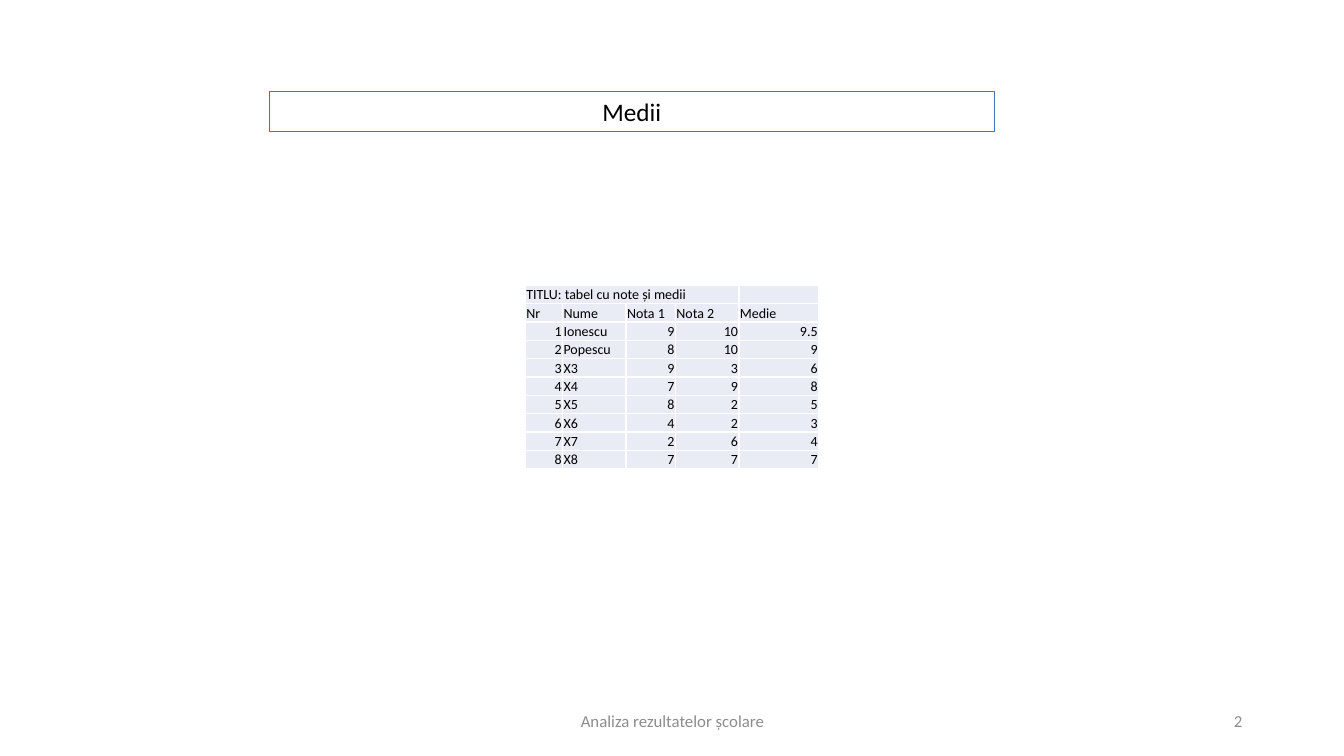
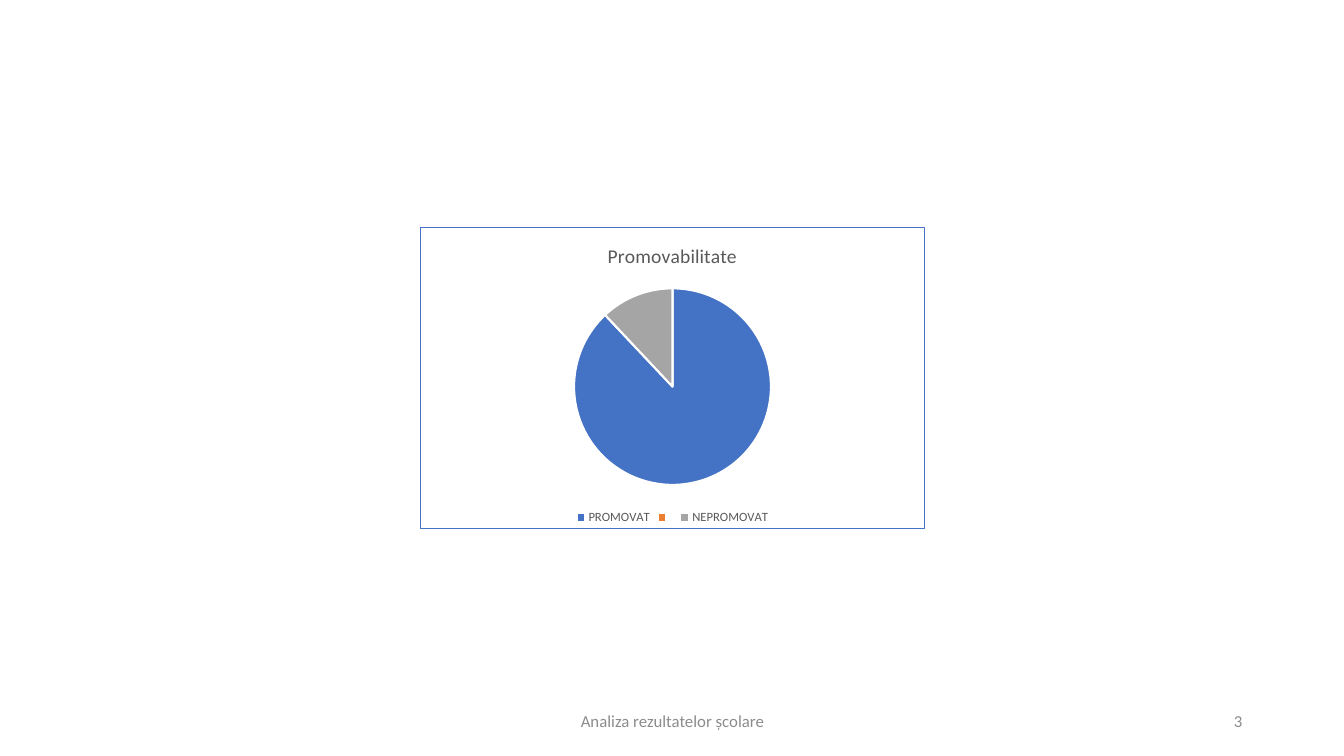
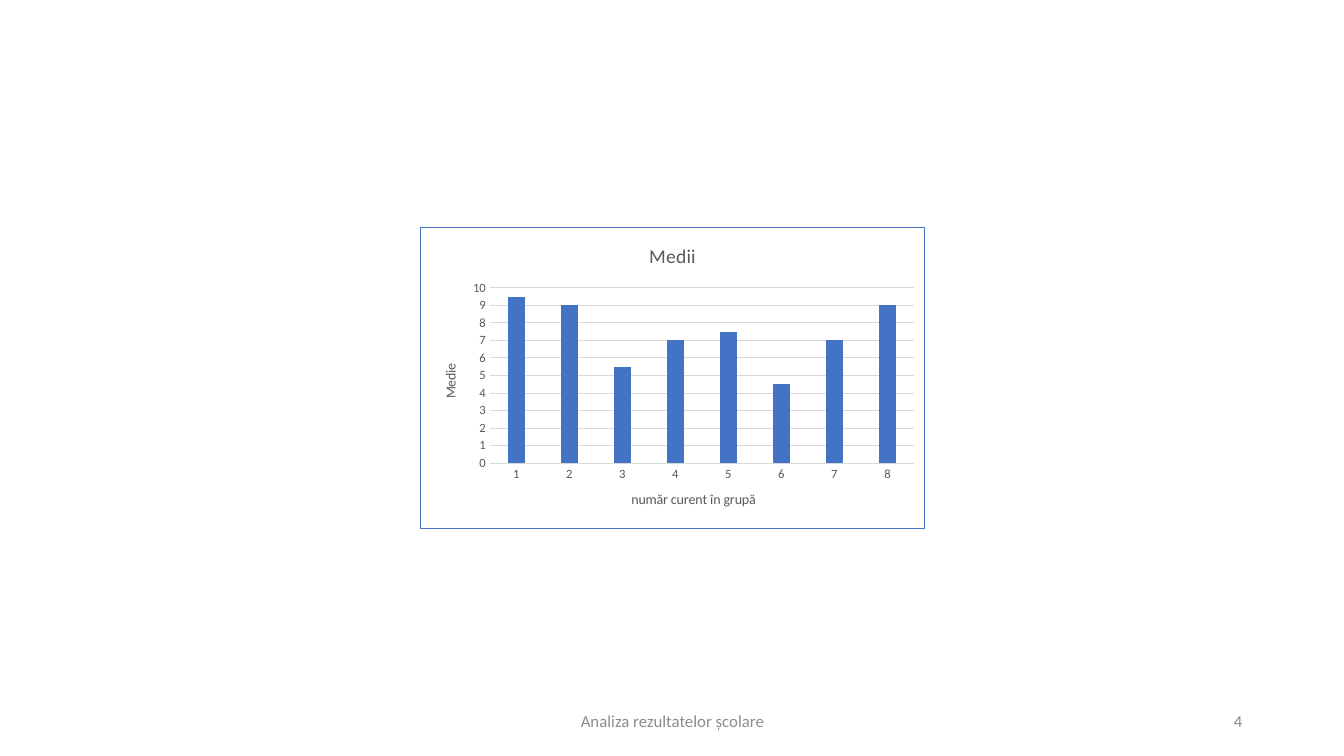
from dataclasses import dataclass

from lxml import etree
from pptx import Presentation
from pptx import util as u
from pptx.chart import data as cd
from pptx.dml.color import RGBColor
from pptx.enum import chart as ch, shapes, text
from pptx.oxml import parse_xml
from pptx.oxml import ns

# Shared style
FONT = "Calibri"
COLORS = {
    "ink": "000000",
    "paper": "FFFFFF",
    "accent": "4472C4",
    "second": "ED7D31",
    "third": "A5A5A5",
    "cell": "E9EBF5",
    "footer": "8C8C8C",
    "label": "595959",
    "grid": "D9D9D9",
}
FOOTER = "Analiza rezultatelor școlare"
FIRST_NUMBER = 2
LEFT, CENTER, RIGHT = text.PP_ALIGN.LEFT, text.PP_ALIGN.CENTER, text.PP_ALIGN.RIGHT


@dataclass(frozen=True)
class Box:
    left: float
    top: float
    width: float
    height: float

    def emu(self) -> tuple:
        return tuple(u.Inches(v) for v in (self.left, self.top, self.width, self.height))


TITLE_BOX = Box(2.67, 0.91, 7.19, 0.4)
TABLE_BOX = Box(5.21, 2.83, 2.92, 1.82)
CHART_BOX = Box(4.17, 2.25, 5, 3)
FOOTER_BOX = Box(4.42, 6.95, 4.5, 0.4)
NUMBER_BOX = Box(9.42, 6.95, 3, 0.4)

# Grade table
COL_WIDTHS = [0.37, 0.63, 0.49, 0.63, 0.79]
GRADES = [
    ("TITLU: tabel cu note și medii", "", "", "", ""),
    ("Nr", "Nume", "Nota 1", "Nota 2", "Medie"),
    (1, "Ionescu", 9, 10, 9.5),
    (2, "Popescu", 8, 10, 9),
    (3, "X3", 9, 3, 6),
    (4, "X4", 7, 9, 8),
    (5, "X5", 8, 2, 5),
    (6, "X6", 4, 2, 3),
    (7, "X7", 2, 6, 4),
    (8, "X8", 7, 7, 7),
]


def rgb(name: str) -> RGBColor:
    return RGBColor.from_string(COLORS[name])


def set_font(font, size: float, color: str) -> None:
    font.name, font.size, font.bold = FONT, u.Pt(size), False
    font.color.rgb = rgb(color)


def set_line(line, color: str, width: float) -> None:
    line.color.rgb = rgb(color)
    line.width = u.Pt(width)


def line_xml(tag: str, color: str, width: float) -> str:
    return (f'<{tag} {ns.nsdecls("a")} w="{int(u.Pt(width))}"><a:solidFill>'
            f'<a:srgbClr val="{COLORS[color]}"/></a:solidFill></{tag}>')


def add_text(slide, box: Box, content: str, size: float, color: str, align,
             anchor=text.MSO_ANCHOR.MIDDLE):
    sp = slide.shapes.add_textbox(*box.emu())
    tf = sp.text_frame
    tf.word_wrap = True
    tf.vertical_anchor = anchor
    p = tf.paragraphs[0]
    p.text, p.alignment = content, align
    set_font(p.font, size, color)
    return sp


def add_page(prs):
    """Blank slide with the common footer and number."""
    slide = prs.slides.add_slide(prs.slide_layouts[6])
    number = FIRST_NUMBER + len(prs.slides) - 1
    add_text(slide, FOOTER_BOX, FOOTER, 12, "footer", CENTER)
    add_text(slide, NUMBER_BOX, str(number), 12, "footer", RIGHT)
    return slide


def style_cell(cell, value) -> None:
    cell.margin_left = cell.margin_right = cell.margin_top = u.Inches(0.01)
    cell.margin_bottom = 0
    cell.vertical_anchor = text.MSO_ANCHOR.BOTTOM
    p = cell.text_frame.paragraphs[0]
    p.text = str(value)
    p.alignment = LEFT if isinstance(value, str) else RIGHT
    set_font(p.font, 10, "ink")
    if value == "":
        # An empty paragraph takes its height from its end mark
        etree.SubElement(p._p, ns.qn("a:endParaRPr"), sz="1000")
    borders = cell._tc.get_or_add_tcPr()
    for side in "LRTB":
        borders.append(parse_xml(line_xml(f"a:ln{side}", "paper", 1)))
    cell.fill.solid()
    cell.fill.fore_color.rgb = rgb("cell")


def add_grades(slide) -> None:
    table = slide.shapes.add_table(len(GRADES), len(COL_WIDTHS), *TABLE_BOX.emu()).table
    table.first_row = table.horz_banding = False
    for column, width in zip(table.columns, COL_WIDTHS):
        column.width = u.Inches(width)
    for r, row in enumerate(GRADES):
        table.rows[r].height = u.Inches(TABLE_BOX.height / len(GRADES))
        for c, value in enumerate(row):
            style_cell(table.cell(r, c), value)
    table.cell(0, 0).merge(table.cell(0, 3))


def set_title(owner, content: str, size: float) -> None:
    """Title of a chart or of an axis."""
    p = owner.text_frame.paragraphs[0]
    p.text = content
    set_font(p.font, size, "label")


def add_chart(slide, kind, title: str, cats: list, vals: list):
    data = cd.CategoryChartData()
    data.categories = cats
    data.add_series("Series 1", vals)
    chart = slide.shapes.add_chart(kind, *CHART_BOX.emu(), data).chart
    set_font(chart.font, 10, "ink")
    chart.has_title = True
    set_title(chart.chart_title, title, 14)
    chart.chart_title.include_in_layout = False
    chart.has_legend = False
    # Frame around the chart
    frame = parse_xml(
        f'<c:spPr {ns.nsdecls("c", "a")}><a:solidFill><a:srgbClr val="{COLORS["paper"]}"/>'
        f'</a:solidFill>{line_xml("a:ln", "accent", 0.75)}</c:spPr>')
    chart._chartSpace.find(ns.qn("c:chart")).addnext(frame)
    return chart


def style_axis(axis, title: str) -> None:
    axis.has_title = True
    set_title(axis.axis_title, title, 10)
    axis.major_tick_mark = axis.minor_tick_mark = ch.XL_TICK_MARK.NONE
    set_font(axis.tick_labels.font, 9, "label")


prs = Presentation()
prs.slide_width, prs.slide_height = u.Inches(13.33), u.Inches(7.5)

# Slide: table of grades
slide = add_page(prs)
heading = add_text(slide, TITLE_BOX, "Medii", 18, "ink", CENTER, text.MSO_ANCHOR.TOP)
set_line(heading.line, "accent", 0.75)
add_grades(slide)

# Slide: pass rate
slide = add_page(prs)
chart = add_chart(slide, ch.XL_CHART_TYPE.PIE, "Promovabilitate",
                  ["PROMOVAT", "", "NEPROMOVAT"], [88, None, 12])
chart.has_legend = True
chart.legend.position = ch.XL_LEGEND_POSITION.BOTTOM
chart.legend.include_in_layout = False
set_font(chart.legend.font, 9, "label")
plot = chart.plots[0]
plot.vary_by_categories = True
for i, color in enumerate(["accent", "second", "third"]):
    fmt = plot.series[0].points[i].format
    fmt.fill.solid()
    fmt.fill.fore_color.rgb = rgb(color)
    set_line(fmt.line, "paper", 1.5)

# Slide: averages by student
slide = add_page(prs)
chart = add_chart(slide, ch.XL_CHART_TYPE.COLUMN_CLUSTERED, "Medii",
                  [str(n) for n in range(1, 9)], [9.5, 9, 5.5, 7, 7.5, 4.5, 7, 9])
plot = chart.plots[0]
plot.vary_by_categories = False
plot.gap_width, plot.overlap = 219, -27
bars = plot.series[0].format.fill
bars.solid()
bars.fore_color.rgb = rgb("accent")
style_axis(chart.category_axis, "număr curent în grupă")
set_line(chart.category_axis.format.line, "grid", 0.75)
averages = chart.value_axis
style_axis(averages, "Medie")
averages.minimum_scale, averages.maximum_scale, averages.major_unit = 0, 10, 1
averages.format.line.fill.background()
averages.has_major_gridlines = True
set_line(averages.major_gridlines.format.line, "grid", 0.75)

prs.save("out.pptx")
